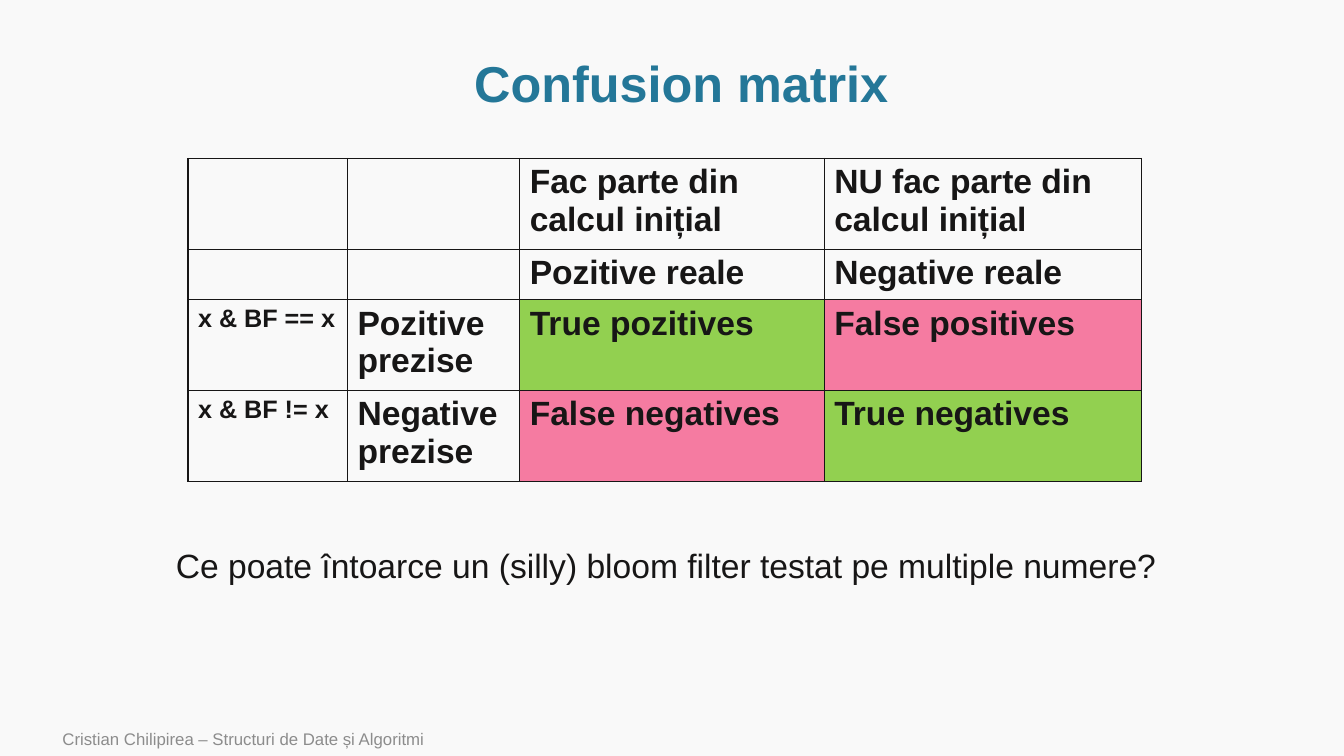
import pptx
import pptx.dml.color
import pptx.enum.text
import pptx.oxml
import pptx.oxml.ns
import pptx.util
from lxml import etree

RGBColor = pptx.dml.color.RGBColor
Anchor = pptx.enum.text.MSO_ANCHOR
Align = pptx.enum.text.PP_ALIGN

PAPER = RGBColor(0xF9, 0xF9, 0xF9)
INK = RGBColor(0x17, 0x16, 0x16)
TITLE_BLUE = RGBColor(0x24, 0x77, 0x98)
FOOTER_GREY = RGBColor(0x8C, 0x8C, 0x8C)
CORRECT = RGBColor(0x92, 0xD0, 0x50)
WRONG = RGBColor(0xF5, 0x7B, 0xA1)

FONT = "Arial"
EMU_PER_PX = 9525
PAGE_SIZE = (1280, 720)

COLUMN_WIDTHS = (152, 164, 290, 302)
ROW_HEIGHTS = (81, 45, 81, 81)
MATRIX = (
    ("", "", "Fac parte din calcul inițial", "NU fac parte din calcul inițial"),
    ("", "", "Pozitive reale", "Negative reale"),
    ("x & BF == x", "Pozitive prezise", "True pozitives", "False positives"),
    ("x & BF != x", "Negative prezise", "False negatives", "True negatives"),
)


def px(length):
    return pptx.util.Emu(length * EMU_PER_PX)


def write(para, text, size, color, bold=False):
    span = para.add_run()
    span.text = text
    span.font.name = FONT
    span.font.size = pptx.util.Pt(size)
    span.font.bold = bold
    span.font.color.rgb = color


def add_text(page, box, text, size, color, bold=False, anchor=Anchor.TOP):
    shape = page.shapes.add_textbox(*map(px, box))
    shape.text_frame.word_wrap = True
    shape.text_frame.vertical_anchor = anchor
    write(shape.text_frame.paragraphs[0], text, size, color, bold)
    return shape.text_frame


def add_title(page, box):
    frame = add_text(page, box, "Confusion matrix", 36, TITLE_BLUE, True, Anchor.MIDDLE)
    frame.paragraphs[0].alignment = Align.CENTER
    frame.paragraphs[0].line_spacing = 0.9


def set_borders(cell):
    properties = cell._tc.get_or_add_tcPr()
    for position, side in enumerate(("lnL", "lnR", "lnT", "lnB")):
        line = pptx.oxml.parse_xml(
            f'<a:{side} {pptx.oxml.ns.nsdecls("a")} w="{pptx.util.Pt(1)}">'
            f'<a:solidFill><a:srgbClr val="{INK}"/></a:solidFill></a:{side}>'
        )
        properties.insert(position, line)


def add_matrix(page, left, top):
    table = page.shapes.add_table(
        len(ROW_HEIGHTS), len(COLUMN_WIDTHS),
        px(left), px(top), px(sum(COLUMN_WIDTHS)), px(sum(ROW_HEIGHTS)),
    ).table
    table.first_row = table.horz_banding = False
    for column, width in zip(table.columns, COLUMN_WIDTHS):
        column.width = px(width)
    for row, height in zip(table.rows, ROW_HEIGHTS):
        row.height = px(height)

    for r, labels in enumerate(MATRIX):
        for c, label in enumerate(labels):
            cell = table.cell(r, c)
            # Outcomes on the diagonal are correct
            if r >= 2 and c >= 2:
                cell.fill.solid()
                cell.fill.fore_color.rgb = CORRECT if r == c else WRONG
            else:
                cell.fill.background()
            set_borders(cell)
            if label:
                size = 18 if c == 0 else 24
                write(cell.text_frame.paragraphs[0], label, size, INK, True)


def add_question(page, box):
    frame = add_text(
        page, box,
        "Ce poate întoarce un (silly) bloom filter testat pe multiple numere?",
        24, INK,
    )
    frame.word_wrap = False
    frame.auto_size = pptx.enum.text.MSO_AUTO_SIZE.SHAPE_TO_FIT_TEXT


def add_footer(page, box):
    add_text(
        page, box, "Cristian Chilipirea – Structuri de Date și Algoritmi",
        12, FOOTER_GREY, anchor=Anchor.MIDDLE,
    )


def build_matrix_page(deck):
    page = deck.slides.add_slide(deck.slide_layouts[6])
    page.background.fill.solid()
    page.background.fill.fore_color.rgb = PAPER
    add_title(page, (97, 49, 1104, 66))
    add_matrix(page, 179, 151)
    add_question(page, (158, 514, 963, 48))
    add_footer(page, (50, 687, 806, 33))


def main():
    deck = pptx.Presentation()
    deck.slide_width, deck.slide_height = map(px, PAGE_SIZE)
    build_matrix_page(deck)
    deck.save("out.pptx")


if __name__ == "__main__":
    main()
